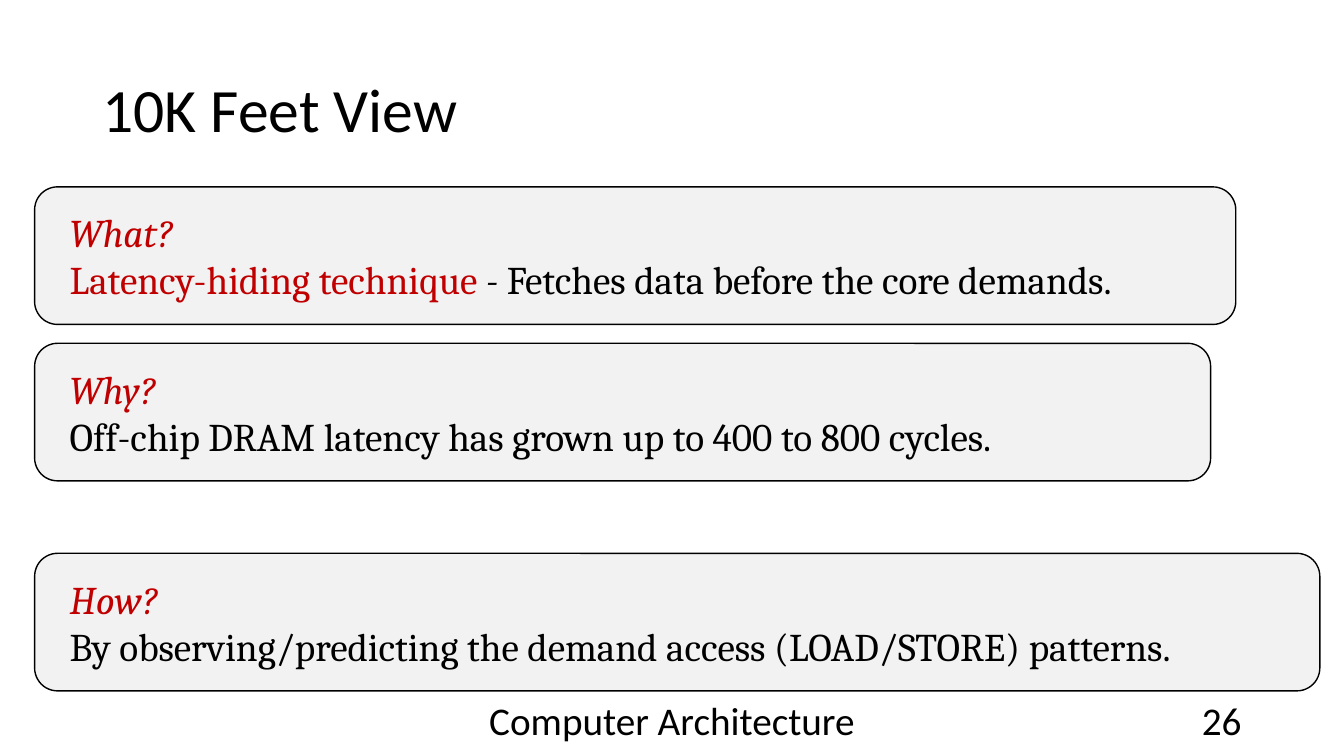
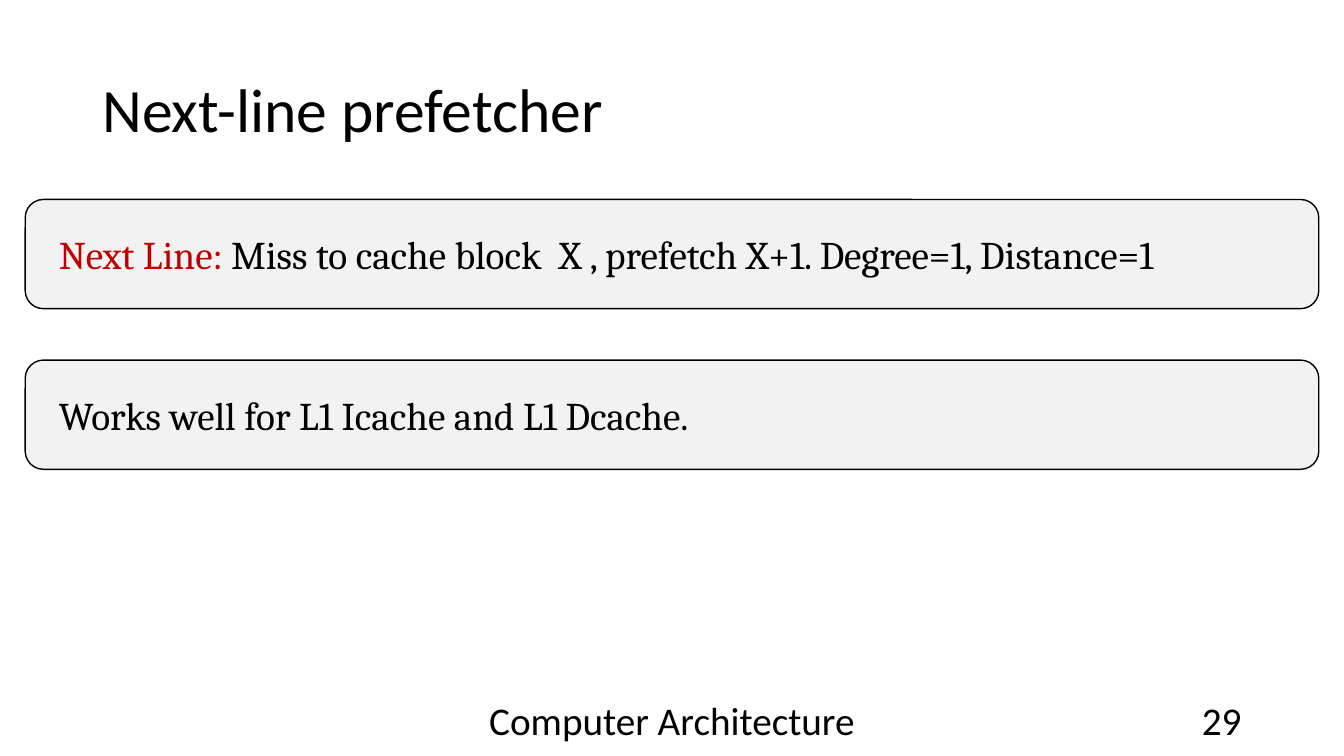
from pptx import Presentation
from pptx.dml.color import RGBColor
from pptx.enum.shapes import MSO_SHAPE as SHAPE
from pptx.enum.text import MSO_ANCHOR as ANCHOR, MSO_AUTO_SIZE as FIT, PP_ALIGN as ALIGN
from pptx.util import Emu, Pt

PX = 9525
BLACK, RED, GREY = "000000", "C00000", "F2F2F2"


def px(*lengths):
    return [Emu(n * PX) for n in lengths]


def color(value):
    return RGBColor.from_string(value)


def add_text(p, text, size=28, font="Calibri", fill=BLACK, italic=False):
    r = p.add_run()
    r.text = text
    r.font.size = Pt(size)
    r.font.name = font
    r.font.italic = italic
    r.font.color.rgb = color(fill)


class Deck:
    title_box = (88, 38, 1104, 139)
    footer_box = (424, 667, 432, 38)
    number_box = (904, 667, 288, 38)
    footer = "Computer Architecture"
    serif = "Cambria"
    inset = 27

    def __init__(self, prs):
        self.prs = prs
        prs.slide_width, prs.slide_height = px(1280, 720)
        self.slide = None

    def add_slide(self, title, number):
        self.slide = self.prs.slides.add_slide(self.prs.slide_layouts[5])
        self.title(title)
        self.label(self.footer, self.footer_box, ALIGN.CENTER)
        self.label(str(number), self.number_box, ALIGN.RIGHT)

    def frame(self, sp):
        tf = sp.text_frame
        tf.word_wrap = True
        tf.auto_size = FIT.NONE
        tf.vertical_anchor = ANCHOR.MIDDLE
        return tf

    def title(self, text):
        sp = self.slide.shapes.title
        sp.left, sp.top, sp.width, sp.height = px(*self.title_box)
        p = self.frame(sp).paragraphs[0]
        p.alignment = ALIGN.LEFT
        p.line_spacing = 0.9
        add_text(p, text, size=44)

    def label(self, text, box, align):
        sp = self.slide.shapes.add_textbox(*px(*box))
        p = self.frame(sp).paragraphs[0]
        p.alignment = align
        add_text(p, text)

    def card(self, box, *lines):
        sp = self.slide.shapes.add_shape(SHAPE.ROUNDED_RECTANGLE, *px(*box))
        sp.shadow.inherit = False
        sp.fill.solid()
        sp.fill.fore_color.rgb = color(GREY)
        sp.line.color.rgb = color(BLACK)
        sp.line.width = Pt(1)
        tf = self.frame(sp)
        tf.margin_left = px(self.inset)[0]
        for i, line in enumerate(lines):
            p = tf.add_paragraph() if i else tf.paragraphs[0]
            p.alignment = ALIGN.LEFT
            for text, style in line:
                add_text(p, text, font=self.serif, **style)


def main():
    prs = Presentation()
    deck = Deck(prs)
    plain, red = {}, {"fill": RED}
    question = {"fill": RED, "italic": True}

    deck.add_slide("10K Feet View", 26)
    cards = [
        (178, 1144, "What?", [("Latency-hiding technique ", red),
                              ("- ", {"italic": True}),
                              ("Fetches data before the core demands.", plain)]),
        (327, 1120, "Why?", [("Off-chip DRAM latency has grown up to 400 to 800 cycles.", plain)]),
        (527, 1224, "How?", [("By observing/predicting the demand access (LOAD/STORE) patterns.", plain)]),
    ]
    for top, width, heading, answer in cards:
        deck.card((33, top, width, 131), [(heading, question)], answer)

    deck.add_slide("Next-line prefetcher", 29)
    notes = [
        [("Next Line: ", red),
         ("Miss to cache block  X , prefetch X+1. Degree=1, Distance=1", plain)],
        [("Works well for L1 Icache and L1 Dcache.", plain)],
    ]
    for i, line in enumerate(notes):
        deck.card((24, 190 + i * 153, 1232, 104), line)

    prs.save("out.pptx")


if __name__ == "__main__":
    main()
